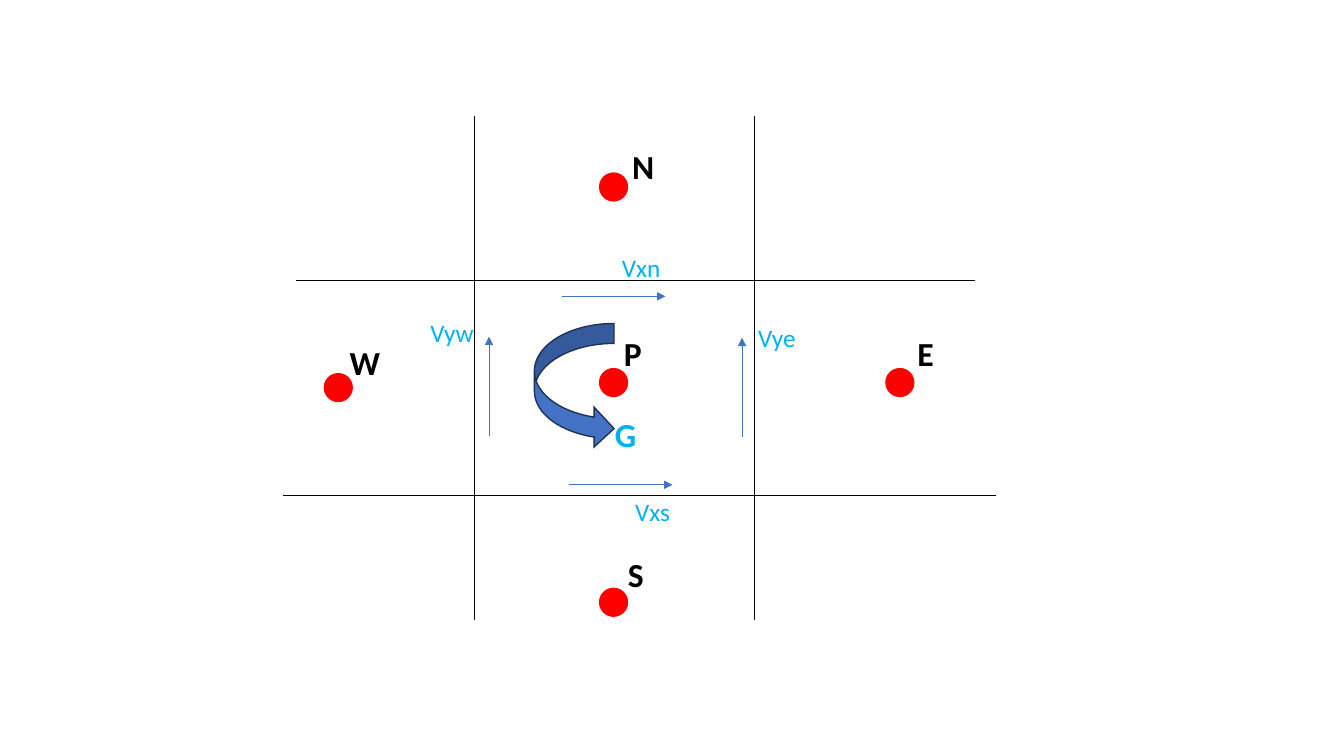
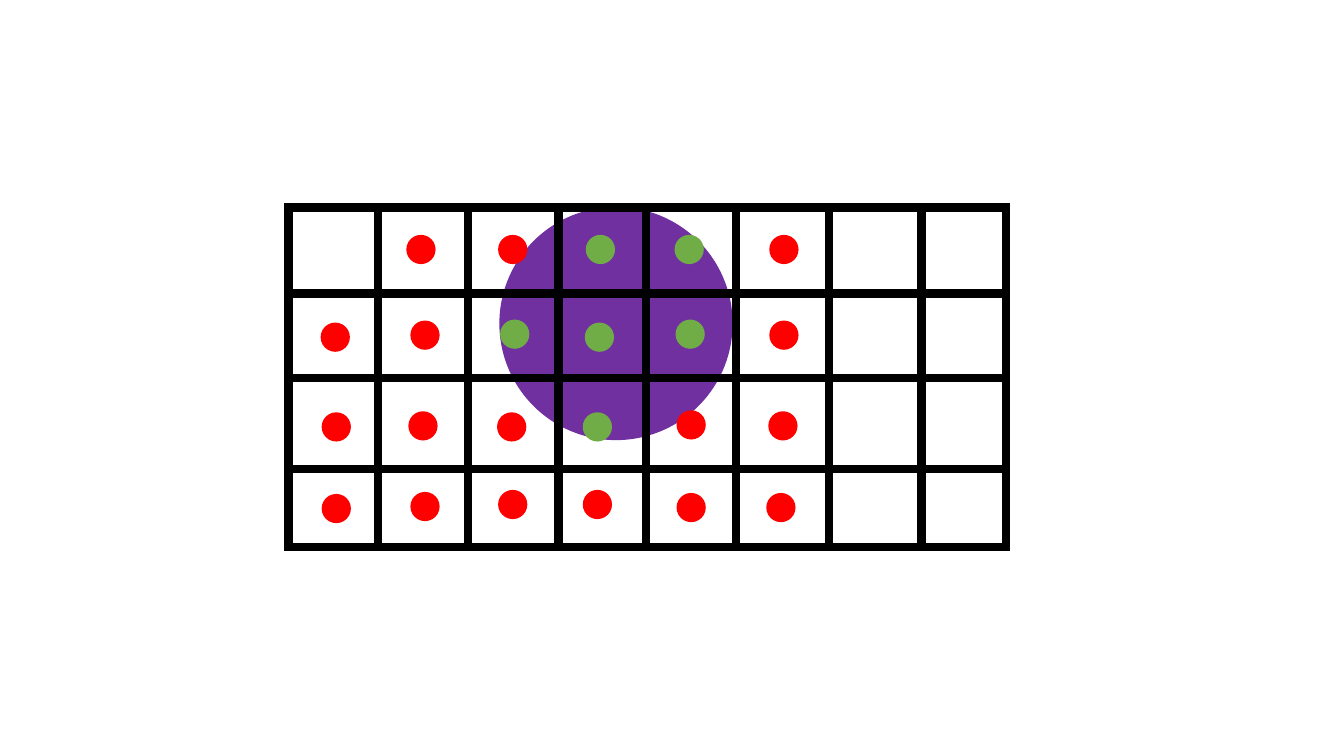
import pptx
import pptx.util
import pptx.dml.color
import pptx.enum.shapes
import pptx.enum.text
import pptx.oxml.ns
from lxml import etree

Inches = pptx.util.Inches
Pt = pptx.util.Pt
SHAPES = pptx.enum.shapes.MSO_SHAPE

COLOURS = {
    "ink": "000000", "outside": "FF0000", "inside": "70AD47",
    "velocity": "00B0F0", "arrow": "4472C4", "arrow_edge": "1E3256",
    "body": "7030A0",
}
FONT = "Calibri"
DOT = 0.29
LABEL_STYLES = {
    "node": {"size": Pt(24), "bold": True, "colour": "ink", "height": 0.5},
    "velocity": {"size": Pt(18), "bold": False, "colour": "velocity", "height": 0.4},
    "circulation": {"size": Pt(24), "bold": True, "colour": "velocity", "height": 0.5},
}

# Slide 1: a control volume and its neighbours
CELL_FACES = [
    (4.7, 1.15, 4.7, 6.15), (7.48, 1.15, 7.48, 6.15),
    (2.94, 2.78, 9.67, 2.78), (2.81, 4.91, 9.88, 4.91),
]
NODES = [  # name, dot left and top, label left, top and width
    ("P", (5.94, 3.65), (6.09, 3.25, 0.38)),
    ("N", (5.94, 1.71), (6.17, 1.4, 0.42)),
    ("E", (8.78, 3.65), (9, 3.25, 0.37)),
    ("S", (5.94, 5.83), (6.13, 5.45, 0.36)),
    ("W", (3.21, 3.7), (3.37, 3.34, 0.51)),
]
VELOCITIES = [  # name, arrow ends, label left, top and width
    ("Vye", (7.36, 4.34, 7.36, 3.35), (7.42, 3.15, 0.58)),
    ("Vyw", (4.85, 4.33, 4.85, 3.34), (4.17, 3.1, 0.64)),
    ("Vxs", (5.64, 4.81, 6.67, 4.81), (6.2, 4.87, 0.55)),
    ("Vxn", (5.57, 2.94, 6.6, 2.94), (6.07, 2.45, 0.59)),
]
CIRCULATION = ("G", (5.3, 3.21, 0.79, 1.24), (6, 4.06, 0.42))

# Slide 2: a round body on a mesh
BODY = (4.96, 2.06, 2.3, 2.3)
MESH = (2.86, 2.06, 7.12, 3.37)
MESH_COLUMNS = [3.75, 4.64, 5.54, 6.41, 7.3, 8.22, 9.14]
MESH_ROWS = [2.91, 3.75, 4.65]
MESH_DOTS = {  # left and top, row by row
    "outside": [
        (4.03, 2.33), (4.94, 2.33), (7.63, 2.33),
        (3.18, 3.2), (4.07, 3.18), (7.63, 3.18),
        (3.19, 4.09), (4.05, 4.08), (4.93, 4.09), (6.71, 4.07), (7.62, 4.08),
        (3.19, 4.9), (4.07, 4.88), (4.94, 4.86), (5.78, 4.86), (6.71, 4.89), (7.6, 4.89),
    ],
    "inside": [
        (5.81, 2.33), (6.69, 2.33),
        (4.96, 3.17), (5.8, 3.2), (6.7, 3.17),
        (5.78, 4.09),
    ],
}


def colour(name):
    return pptx.dml.color.RGBColor.from_string(COLOURS[name])


def add_figure(slide, preset, box, fill=None, edge=None, weight=1):
    figure = slide.shapes.add_shape(preset, *map(Inches, box))
    figure.shadow.inherit = False
    if fill:
        figure.fill.solid()
        figure.fill.fore_color.rgb = colour(fill)
    else:
        figure.fill.background()
    if edge:
        figure.line.color.rgb = colour(edge)
        figure.line.width = Pt(weight)
        # Sharp corners
        etree.SubElement(figure.line._get_or_add_ln(),
                         pptx.oxml.ns.qn("a:miter"), lim="800000")
    else:
        figure.line.fill.background()


def add_dot(slide, position, fill):
    add_figure(slide, SHAPES.OVAL, (*position, DOT, DOT), fill)


def add_line(slide, ends, ink="ink", weight=0.5, arrow=False):
    line = slide.shapes.add_connector(
        pptx.enum.shapes.MSO_CONNECTOR.STRAIGHT, *map(Inches, ends))
    line.line.color.rgb = colour(ink)
    line.line.width = Pt(weight)
    if arrow:
        etree.SubElement(line.line._get_or_add_ln(),
                         pptx.oxml.ns.qn("a:tailEnd"), type="triangle")
    etree.SubElement(line._element.spPr, pptx.oxml.ns.qn("a:effectLst"))


def add_label(slide, text, place, style_name):
    style = LABEL_STYLES[style_name]
    label = slide.shapes.add_textbox(*map(Inches, (*place, style["height"])))
    frame = label.text_frame
    frame.word_wrap = False
    frame.auto_size = pptx.enum.text.MSO_AUTO_SIZE.SHAPE_TO_FIT_TEXT
    run = frame.paragraphs[0].add_run()
    run.text = text
    run.font.name = FONT
    for attribute in ("size", "bold"):
        setattr(run.font, attribute, style[attribute])
    run.font.color.rgb = colour(style["colour"])


def build_control_volume(slide):
    for face in CELL_FACES:
        add_line(slide, face)
    for name, position, place in NODES:
        add_dot(slide, position, "outside")
        add_label(slide, name, place, "node")
    for name, ends, place in VELOCITIES:
        add_line(slide, ends, "arrow", arrow=True)
        add_label(slide, name, place, "velocity")
    name, box, place = CIRCULATION
    add_figure(slide, SHAPES.CURVED_RIGHT_ARROW, box, "arrow", "arrow_edge")
    add_label(slide, name, place, "circulation")


def build_mesh(slide):
    add_figure(slide, SHAPES.OVAL, BODY, "body", "body")
    add_figure(slide, SHAPES.RECTANGLE, MESH, edge="ink", weight=6)
    left, top, width, height = MESH
    columns = [(x, top, x, top + height) for x in MESH_COLUMNS]
    rows = [(left, y, left + width, y) for y in MESH_ROWS]
    for ends in columns + rows:
        add_line(slide, ends, weight=6)
    for side, positions in MESH_DOTS.items():
        for position in positions:
            add_dot(slide, position, side)


def main():
    deck = pptx.Presentation()
    deck.slide_width, deck.slide_height = Inches(13.33), Inches(7.5)
    for build in (build_control_volume, build_mesh):
        build(deck.slides.add_slide(deck.slide_layouts[6]))
    deck.save("out.pptx")


if __name__ == "__main__":
    main()
